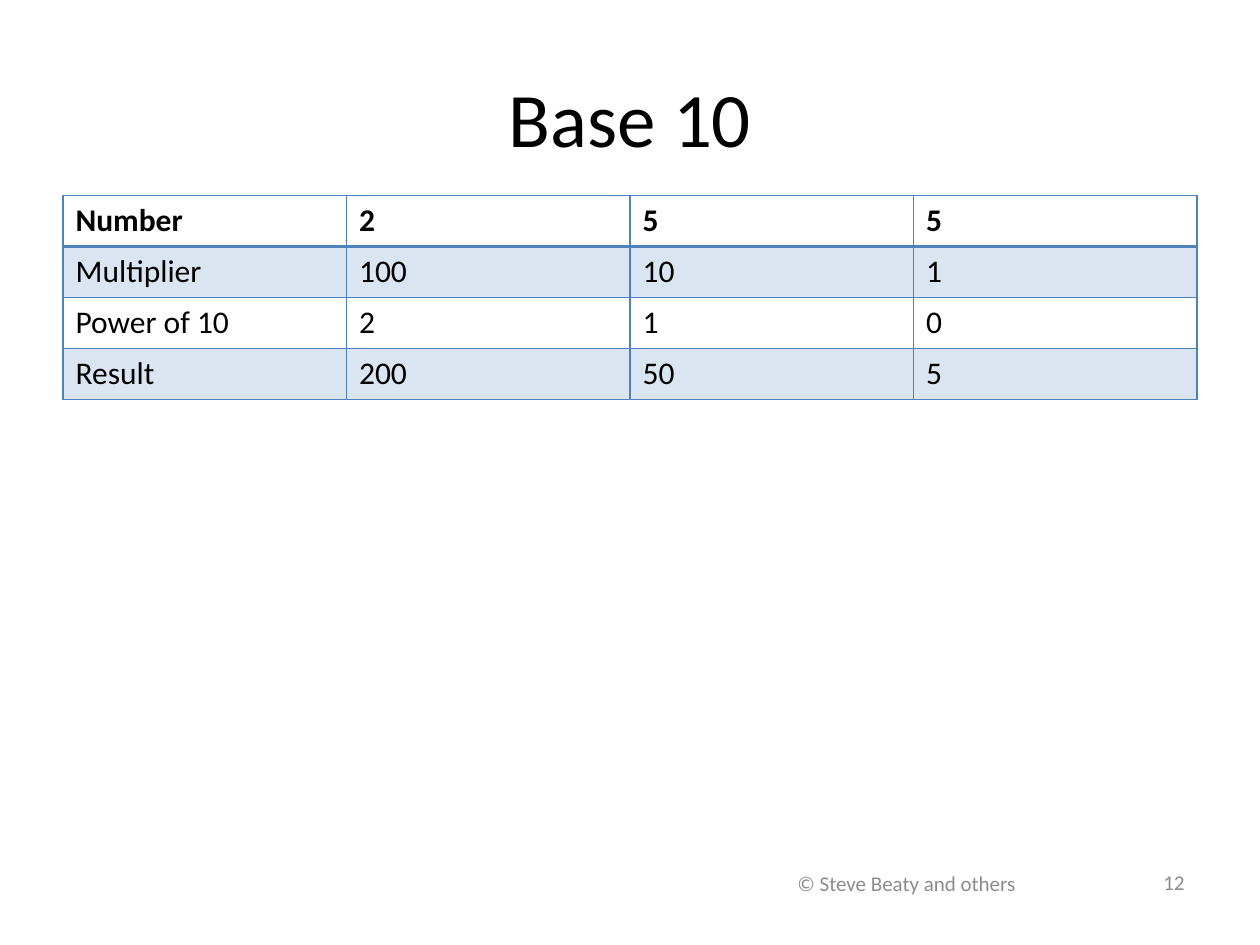
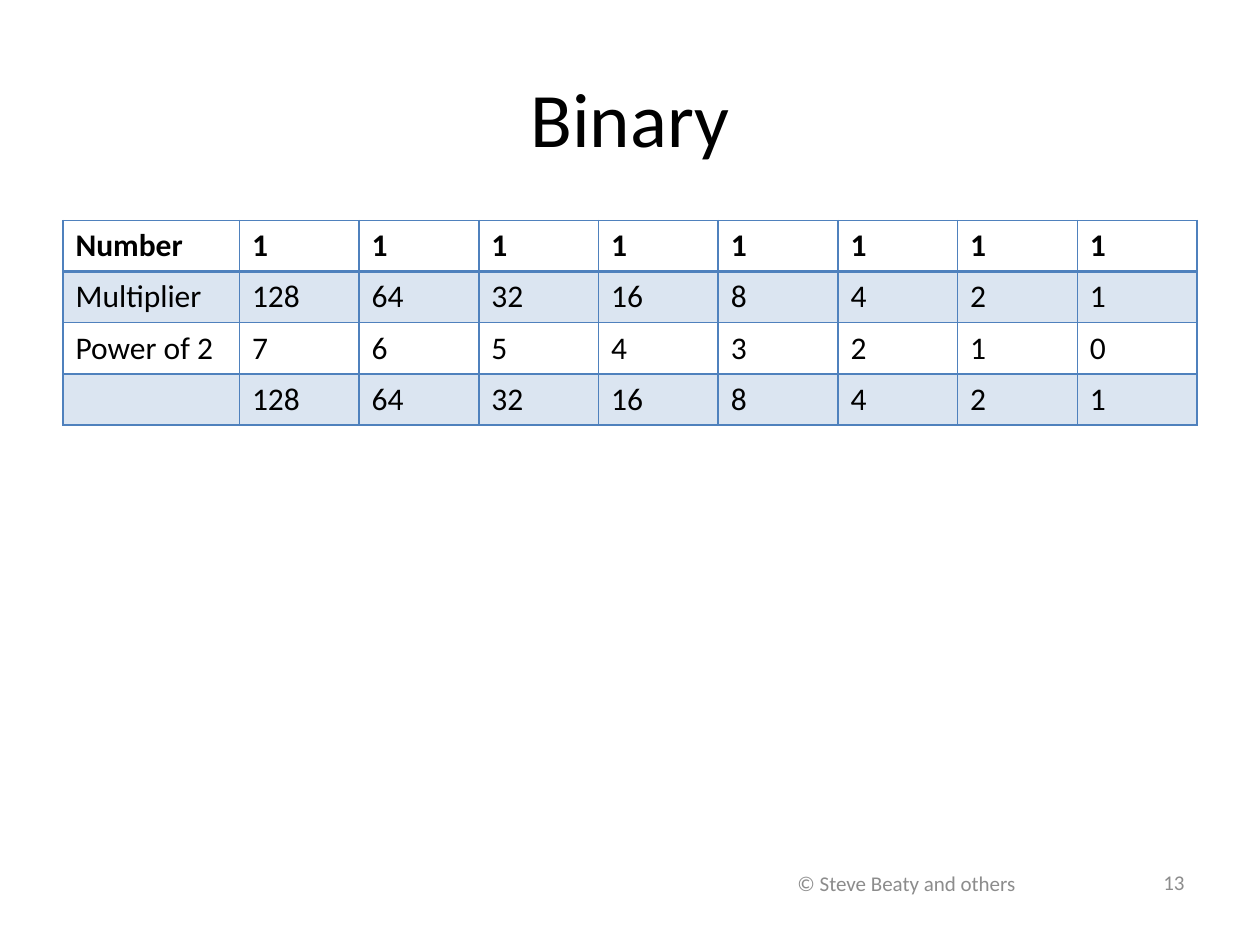
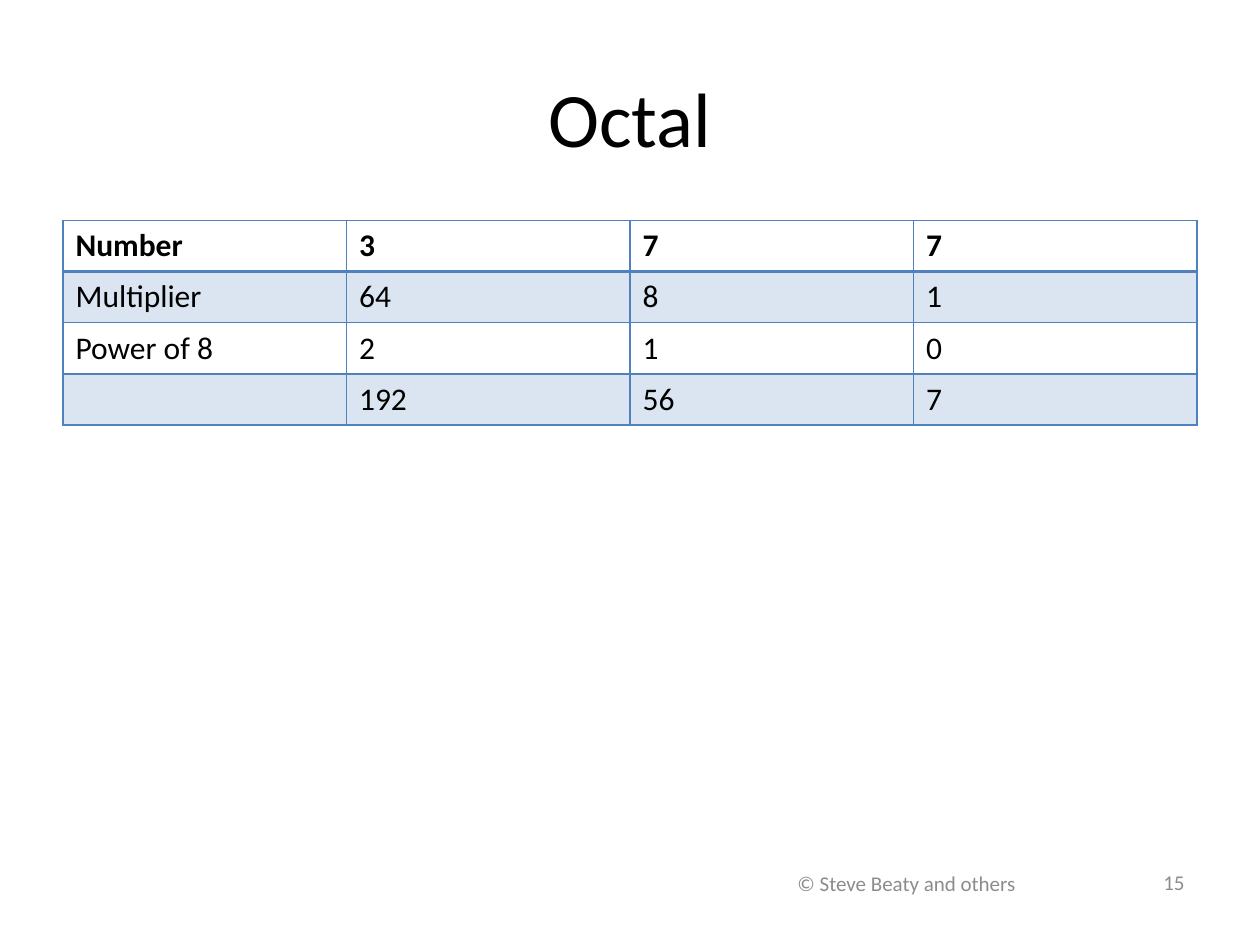
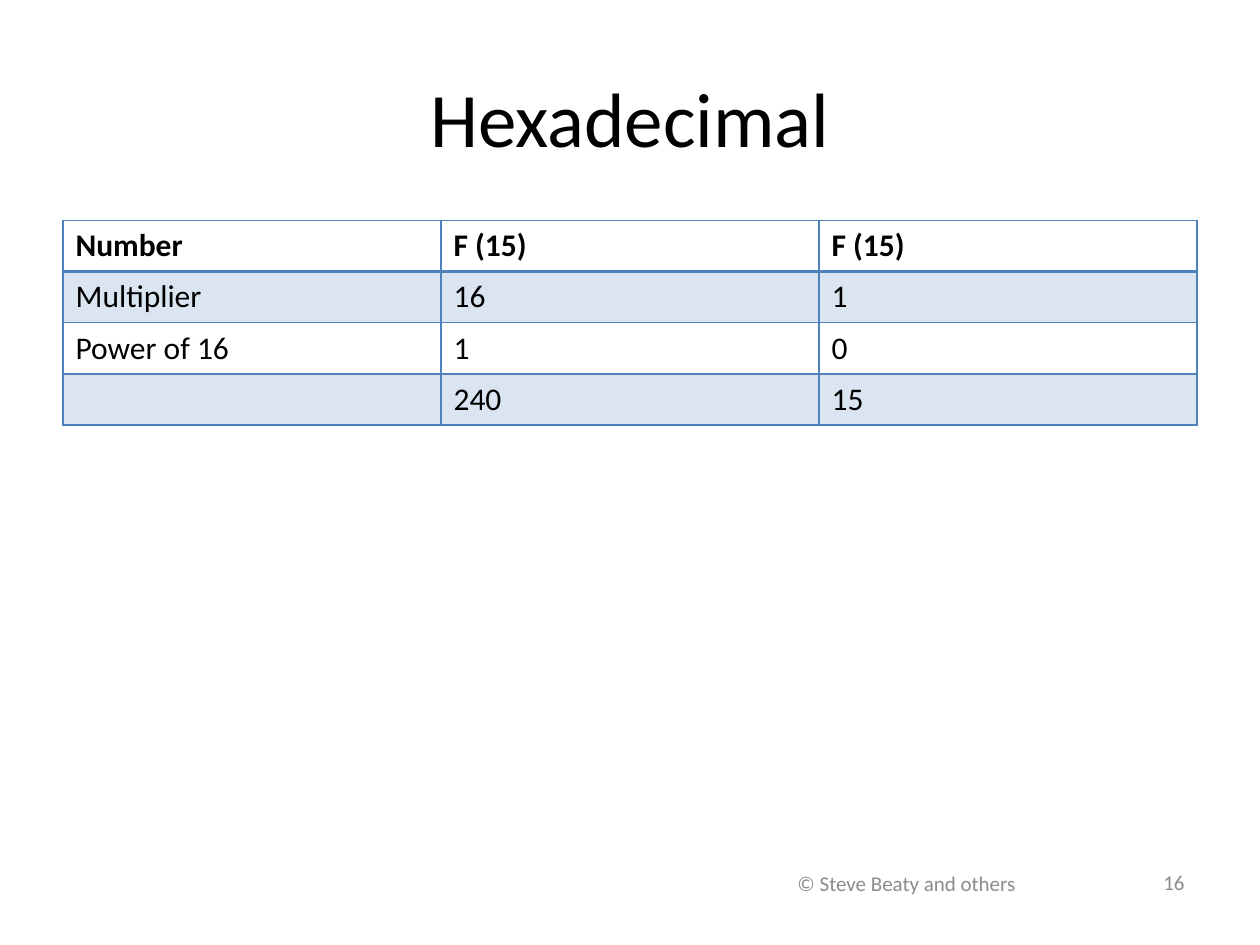
from dataclasses import dataclass

from lxml import etree
from pptx import Presentation
from pptx.dml.color import RGBColor
from pptx.enum.text import MSO_ANCHOR, PP_ALIGN
from pptx.oxml.ns import qn
from pptx.slide import Slide
from pptx.table import _Cell
from pptx.text.text import TextFrame
from pptx.util import Inches, Pt

CENTER, LEFT, RIGHT = PP_ALIGN.CENTER, PP_ALIGN.LEFT, PP_ALIGN.RIGHT
MIDDLE = MSO_ANCHOR.MIDDLE
TITLE_ONLY_LAYOUT = 5


@dataclass(frozen=True)
class Theme:
    font: str = "Calibri"
    ink: str = "000000"
    muted: str = "8C8C8C"
    accent: str = "4F81BD"
    band_opacity: int = 20
    title_size: int = 44
    table_size: int = 18
    footer_size: int = 12
    thin_border: int = 1
    header_border: int = 2


@dataclass(frozen=True)
class Area:
    left: float
    top: float
    width: float
    height: float

    def lengths(self) -> tuple[Inches, ...]:
        return tuple(Inches(n) for n in (self.left, self.top, self.width, self.height))


@dataclass(frozen=True)
class NumberPage:
    title: str
    number: int
    base: int
    digits: tuple[int, ...]
    table_top: float = 1.75
    label_width: float | None = None
    result_label: str = ""

    def rows(self) -> list[list[str]]:
        powers = list(reversed(range(len(self.digits))))
        multipliers = [self.base**power for power in powers]
        results = [digit * multiplier for digit, multiplier in zip(self.digits, multipliers)]
        return [
            ["Number", *map(digit_text, self.digits)],
            ["Multiplier", *map(str, multipliers)],
            [f"Power of {self.base}", *map(str, powers)],
            [self.result_label, *map(str, results)],
        ]


THEME = Theme()
TITLE_AREA = Area(0.5, 0.3, 9, 1.25)
CREDIT_AREA = Area(5.61, 6.81, 3.17, 0.4)
NUMBER_AREA = Area(8.78, 6.8, 0.72, 0.4)
TABLE_LEFT, TABLE_WIDTH, TABLE_HEIGHT = 0.5, 9, 1.62
CREDIT = "© Steve Beaty and others"

PAGES = (
    NumberPage("Base 10", 12, 10, (2, 5, 5), table_top=1.55, result_label="Result"),
    NumberPage("Binary", 13, 2, (1,) * 8, label_width=1.4),
    NumberPage("Octal", 15, 8, (3, 7, 7)),
    NumberPage("Hexadecimal", 16, 16, (15, 15)),
)


def digit_text(digit: int) -> str:
    return str(digit) if digit < 10 else f"{digit:X} ({digit})"


def write(frame: TextFrame, text: str, size: int, color: str,
          align: PP_ALIGN = LEFT, bold: bool = False) -> None:
    para = frame.paragraphs[0]
    para.alignment = align
    if not text:
        para.font.size = Pt(size)
        return
    span = para.add_run()
    span.text = text
    span.font.name = THEME.font
    span.font.size = Pt(size)
    span.font.bold = bold
    span.font.color.rgb = RGBColor.from_string(color)


def add_title(page: Slide, text: str) -> None:
    title = page.shapes.title
    title.left, title.top, title.width, title.height = TITLE_AREA.lengths()
    title.text_frame.vertical_anchor = MIDDLE
    write(title.text_frame, text, THEME.title_size, THEME.ink, CENTER)


def add_footer(page: Slide, area: Area, text: str, align: PP_ALIGN) -> None:
    box = page.shapes.add_textbox(*area.lengths())
    box.text_frame.word_wrap = True
    box.text_frame.vertical_anchor = MIDDLE
    write(box.text_frame, text, THEME.footer_size, THEME.muted, align)


def add_borders(cell: _Cell, top: int, bottom: int) -> None:
    thin = THEME.thin_border
    properties = cell._tc.get_or_add_tcPr()
    for side, width in (("L", thin), ("R", thin), ("T", top), ("B", bottom)):
        line = etree.SubElement(properties, qn(f"a:ln{side}"), w=str(Pt(width)))
        fill = etree.SubElement(line, qn("a:solidFill"))
        etree.SubElement(fill, qn("a:srgbClr"), val=THEME.accent)


def fill_cell(cell: _Cell, banded: bool) -> None:
    if not banded:
        cell.fill.background()
        return
    cell.fill.solid()
    cell.fill.fore_color.rgb = RGBColor.from_string(THEME.accent)
    color = cell._tc.tcPr.find(qn("a:solidFill")).find(qn("a:srgbClr"))
    etree.SubElement(color, qn("a:alpha"), val=str(THEME.band_opacity * 1000))


def add_number_table(page: Slide, content: NumberPage) -> None:
    rows = content.rows()
    column_count = len(rows[0])
    area = Area(TABLE_LEFT, content.table_top, TABLE_WIDTH, TABLE_HEIGHT)
    table = page.shapes.add_table(len(rows), column_count, *area.lengths()).table
    table.first_row = table.horz_banding = False

    label_width = content.label_width or TABLE_WIDTH / column_count
    digit_width = (TABLE_WIDTH - label_width) / (column_count - 1)
    for index, column in enumerate(table.columns):
        column.width = Inches(digit_width if index else label_width)

    for row_index, row in enumerate(rows):
        is_header = row_index == 0
        top = THEME.header_border if row_index == 1 else THEME.thin_border
        bottom = THEME.header_border if is_header else THEME.thin_border
        for column_index, text in enumerate(row):
            cell = table.cell(row_index, column_index)
            add_borders(cell, top, bottom)
            fill_cell(cell, banded=row_index % 2 == 1)
            write(cell.text_frame, text, THEME.table_size, THEME.ink, bold=is_header)


def main() -> None:
    deck = Presentation()
    deck.slide_width, deck.slide_height = Inches(10), Inches(7.5)
    for content in PAGES:
        page = deck.slides.add_slide(deck.slide_layouts[TITLE_ONLY_LAYOUT])
        add_title(page, content.title)
        add_number_table(page, content)
        add_footer(page, CREDIT_AREA, CREDIT, CENTER)
        add_footer(page, NUMBER_AREA, str(content.number), RIGHT)
    deck.save("out.pptx")


if __name__ == "__main__":
    main()
